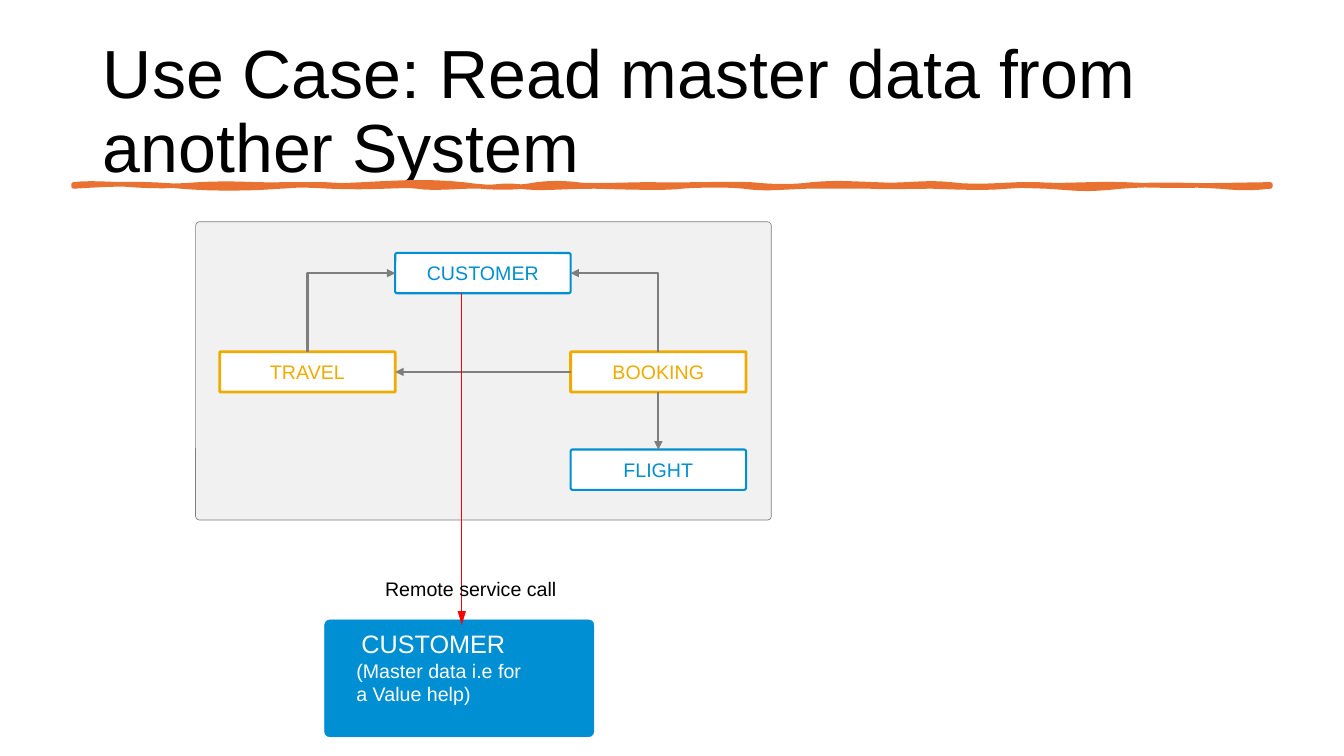
from dataclasses import dataclass

from pptx import Presentation
from pptx.dml.color import RGBColor
from pptx.enum.shapes import MSO_CONNECTOR, MSO_SHAPE
from pptx.enum.text import MSO_ANCHOR, PP_ALIGN
from pptx.oxml.ns import qn
from pptx.oxml.xmlchemy import OxmlElement
from pptx.util import Inches, Pt

FONT = "Arial"
BLUE, AMBER, GRAY, RED = "008FD2", "EFAB00", "7E7E7E", "FF0000"
ORANGE, PANEL, WHITE, BLACK = "E97132", "F1F1F1", "FFFFFF", "000000"
BOX_W, BOX_H = 1.74, 0.4
COL_X = (2.18, 3.92, 5.66)
ROW_Y = (2.51, 3.49, 4.46)

Point = tuple[float, float]


@dataclass
class Box:
    x: float
    y: float
    fill: str
    line: str
    line_pt: float
    text: str = ""
    w: float = BOX_W
    h: float = BOX_H
    radius: float = 0.02


@dataclass
class Arrow:
    points: list[Point]
    color: str = GRAY
    width: float = 1.5
    head_len: str = "med"


# Cubic curves of the hand-drawn rule: two control points and an end point each
RULE_START = (0.73, 1.83)
RULE_CURVES = [
    (0.89, 1.81, 1.11, 1.83, 1.24, 1.83), (1.36, 1.84, 1.62, 1.86, 1.98, 1.83),
    (2.34, 1.81, 2.51, 1.84, 2.84, 1.83), (3.17, 1.83, 3.07, 1.83, 3.22, 1.83),
    (3.38, 1.84, 3.42, 1.84, 3.61, 1.83), (3.8, 1.82, 4.24, 1.79, 4.59, 1.83),
    (4.94, 1.88, 5.17, 1.86, 5.33, 1.83), (5.49, 1.81, 5.63, 1.82, 5.72, 1.83),
    (5.81, 1.85, 6.25, 1.83, 6.46, 1.83), (6.67, 1.84, 7.23, 1.82, 7.44, 1.83),
    (7.65, 1.85, 7.82, 1.86, 8.06, 1.83), (8.3, 1.81, 8.38, 1.82, 8.68, 1.83),
    (8.99, 1.85, 9.14, 1.8, 9.43, 1.83), (9.72, 1.87, 10.02, 1.82, 10.29, 1.83),
    (10.55, 1.85, 10.78, 1.82, 11.15, 1.83), (11.51, 1.85, 11.99, 1.84, 12.6, 1.83),
    (12.6, 1.84, 12.6, 1.84, 12.6, 1.85), (12.42, 1.87, 12.3, 1.87, 12.1, 1.85),
    (11.9, 1.84, 11.49, 1.82, 11.12, 1.85), (10.75, 1.89, 10.7, 1.87, 10.38, 1.85),
    (10.05, 1.84, 10.18, 1.84, 9.99, 1.85), (9.8, 1.87, 9.48, 1.86, 9.25, 1.85),
    (9.02, 1.85, 8.84, 1.86, 8.63, 1.85), (8.41, 1.85, 8.28, 1.85, 8.0, 1.85),
    (7.73, 1.86, 7.57, 1.88, 7.38, 1.85), (7.19, 1.83, 6.88, 1.84, 6.76, 1.85),
    (6.63, 1.87, 6.24, 1.86, 5.9, 1.85), (5.55, 1.85, 5.37, 1.88, 5.15, 1.85),
    (4.94, 1.83, 4.91, 1.87, 4.77, 1.85), (4.63, 1.84, 4.3, 1.88, 4.14, 1.85),
    (3.99, 1.83, 3.71, 1.87, 3.28, 1.85), (2.86, 1.83, 3.03, 1.84, 2.78, 1.85),
    (2.53, 1.87, 2.13, 1.88, 1.8, 1.85), (1.47, 1.82, 1.18, 1.82, 0.73, 1.85),
]


def paint(fmt, color: str) -> None:
    """Give a fill or a font a solid colour."""
    if hasattr(fmt, "solid"):
        fmt.solid()
        fmt.fore_color.rgb = RGBColor.from_string(color)
    else:
        fmt.color.rgb = RGBColor.from_string(color)


def format_runs(p, size: float, color: str) -> None:
    for r in p.runs:
        r.font.name, r.font.size = FONT, Pt(size)
        paint(r.font, color)


def set_frame(tf, anchor, left=0.0, top=0.0, right=0.0) -> None:
    tf.word_wrap = True
    tf.vertical_anchor = anchor
    tf.margin_left, tf.margin_top = Inches(left), Inches(top)
    tf.margin_right, tf.margin_bottom = Inches(right), 0


def curve_points(start: Point, curves: list[tuple], steps: int = 8) -> list[Point]:
    points = [start]
    for x1, y1, x2, y2, x3, y3 in curves:
        x0, y0 = points[-1]
        for t in (i / steps for i in range(1, steps + 1)):
            a, b, c, d = (1 - t) ** 3, 3 * t * (1 - t) ** 2, 3 * t * t * (1 - t), t ** 3
            points.append((a * x0 + b * x1 + c * x2 + d * x3,
                           a * y0 + b * y1 + c * y2 + d * y3))
    return points


def add_outline(s, points: list[Point], close: bool):
    emu = [(Inches(x), Inches(y)) for x, y in points]
    builder = s.shapes.build_freeform(*emu[0], scale=1.0)
    builder.add_line_segments(emu[1:], close=close)
    sp = builder.convert_to_shape()
    sp.shadow.inherit = False
    return sp


def add_box(s, box: Box):
    sp = s.shapes.add_shape(MSO_SHAPE.ROUNDED_RECTANGLE, Inches(box.x), Inches(box.y),
                            Inches(box.w), Inches(box.h))
    sp.adjustments[0] = box.radius / box.h
    sp.shadow.inherit = False
    paint(sp.fill, box.fill)
    paint(sp.line.fill, box.line)
    sp.line.width = Pt(box.line_pt)
    if box.text:
        set_frame(sp.text_frame, MSO_ANCHOR.MIDDLE)
        p = sp.text_frame.paragraphs[0]
        p.text, p.alignment = box.text, PP_ALIGN.CENTER
        format_runs(p, 14, box.line)
    return sp


def add_arrow(s, arrow: Arrow) -> None:
    if len(arrow.points) == 2:
        ends = [Inches(v) for point in arrow.points for v in point]
        sp = s.shapes.add_connector(MSO_CONNECTOR.STRAIGHT, *ends)
    else:
        sp = add_outline(s, arrow.points, close=False)
        sp.fill.background()
    sp.line.width = Pt(arrow.width)
    paint(sp.line.fill, arrow.color)
    props = sp._element.spPr
    tail = OxmlElement("a:tailEnd")
    for name, value in (("type", "triangle"), ("w", "med"), ("len", arrow.head_len)):
        tail.set(name, value)
    props.find(qn("a:ln")).append(tail)
    if props.find(qn("a:effectLst")) is None:
        props.append(OxmlElement("a:effectLst"))


def main() -> None:
    prs = Presentation()
    prs.slide_width, prs.slide_height = Inches(13.33), Inches(7.5)
    s = prs.slides.add_slide(prs.slide_layouts[5])

    # Title and rule
    title = s.shapes.title
    title.left, title.top = Inches(0.92), Inches(0.4)
    title.width, title.height = Inches(11.5), Inches(1.45)
    set_frame(title.text_frame, MSO_ANCHOR.MIDDLE, 0.1, 0, 0.1)
    p = title.text_frame.paragraphs[0]
    p.text = "Use Case: Read master data from another System"
    p.alignment, p.line_spacing = PP_ALIGN.LEFT, 0.9
    format_runs(p, 48.6, BLACK)
    rule = add_outline(s, curve_points(RULE_START, RULE_CURVES), close=True)
    paint(rule.fill, ORANGE)
    paint(rule.line.fill, ORANGE)
    rule.line.width = Pt(3.25)

    # Entities of the local system
    left, middle, right = COL_X
    top, center, bottom = ROW_Y
    add_box(s, Box(1.94, 2.2, PANEL, GRAY, 0.48, w=5.71, h=2.96, radius=0.04))
    for box in (
        Box(left, center, WHITE, AMBER, 2, "TRAVEL", radius=0.01),
        Box(right, bottom, WHITE, BLUE, 1.5, "FLIGHT"),
        Box(middle, top, WHITE, BLUE, 1.5, "CUSTOMER"),
        Box(right, center, WHITE, AMBER, 2, "BOOKING", radius=0.01),
    ):
        add_box(s, box)

    # Remote system
    remote = add_box(s, Box(3.22, 6.15, BLUE, BLUE, 0.25, w=2.67, h=1.16, radius=0.05))
    tf = remote.text_frame
    set_frame(tf, MSO_ANCHOR.TOP, 0.3, 0.07, 0.62)
    tf.text = "CUSTOMER\n(Master data i.e for a Value help)"
    for p, size in zip(tf.paragraphs, (18, 14)):
        p.alignment = PP_ALIGN.LEFT
        format_runs(p, size, WHITE)
    tf.paragraphs[0]._p.get_or_add_pPr().set("marL", str(Inches(0.05)))

    # Associations and remote call
    half_w, half_h = BOX_W / 2, BOX_H / 2
    for arrow in (
        Arrow([(left + half_w, center), (left + half_w, top + half_h), (middle, top + half_h)]),
        Arrow([(right + half_w, center), (right + half_w, top + half_h), (right, top + half_h)]),
        Arrow([(right, center + half_h), (middle, center + half_h)]),
        Arrow([(right + half_w, center + BOX_H), (right + half_w, bottom)]),
        Arrow([(4.58, top + BOX_H), (4.58, 6.2)], RED, 0.75, "lg"),
    ):
        add_arrow(s, arrow)

    label = s.shapes.add_textbox(Inches(3.81), Inches(5.71), Inches(1.8), Inches(0.26))
    set_frame(label.text_frame, MSO_ANCHOR.TOP, 0.01, 0.01)
    p = label.text_frame.paragraphs[0]
    p.text = "Remote service call"
    format_runs(p, 14, BLACK)

    prs.save("out.pptx")


if __name__ == "__main__":
    main()
